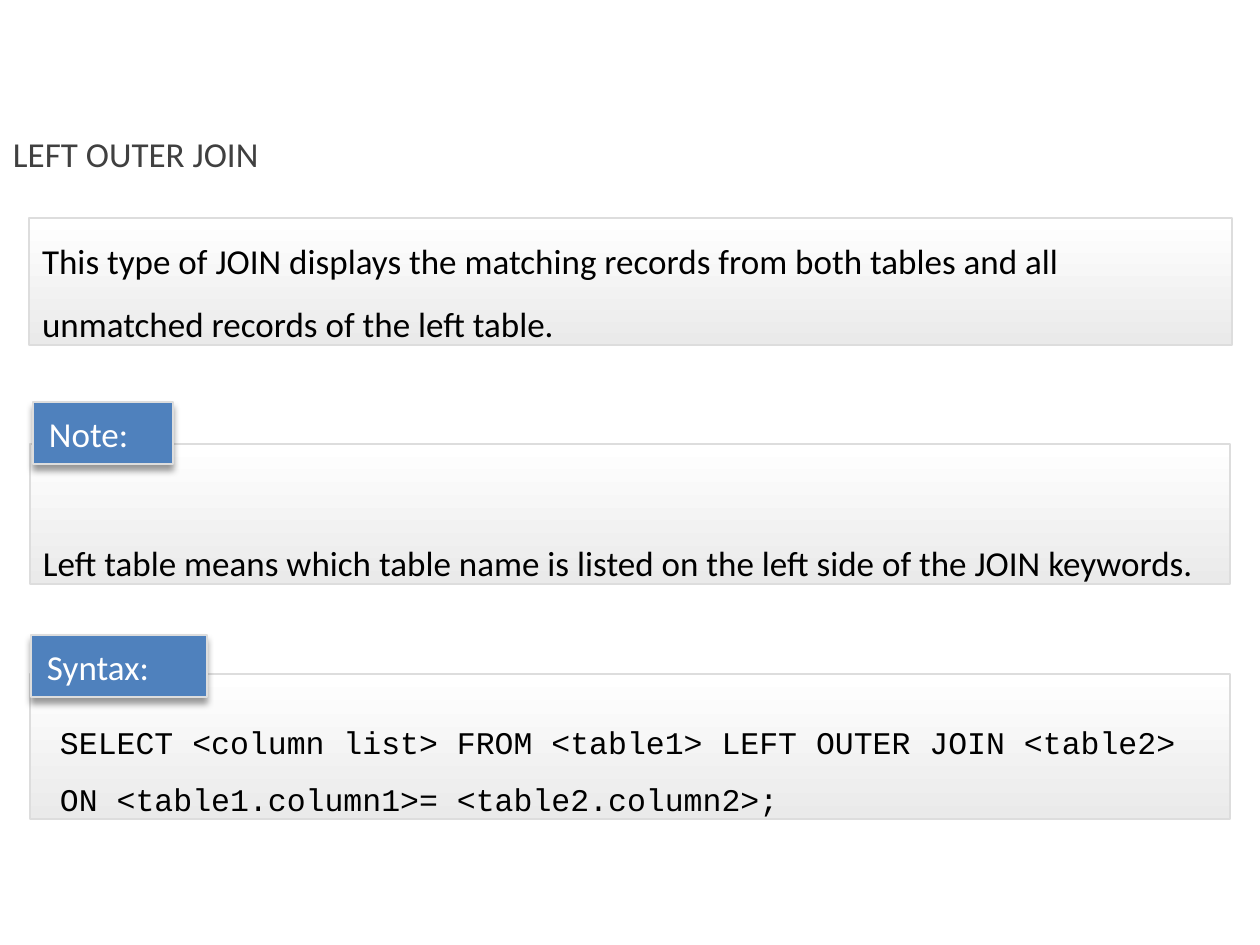
from lxml.etree import SubElement as Sub
from pptx import Presentation
from pptx.dml.color import RGBColor
from pptx.enum.shapes import MSO_SHAPE as Shape
from pptx.enum.text import MSO_ANCHOR as Anchor, MSO_AUTO_SIZE as Fit, PP_ALIGN as Align
from pptx.oxml.ns import qn
from pptx.util import Emu, Inches, Pt

WHITE = RGBColor(0xFF, 0xFF, 0xFF)
BLACK = RGBColor(0, 0, 0)
DARK = RGBColor(0x40, 0x40, 0x40)
PALE = RGBColor(0xEA, 0xEA, 0xEA)
EDGE = RGBColor(0xDD, 0xDD, 0xDD)
BLUE = RGBColor(0x4F, 0x81, 0xBD)


def px(count):
    """Turn pixels, 126 to the inch, into EMU."""
    return Emu(count * 914400 // 126)


def write(shape, text, color, size=20, font="Calibri", pads=(13, 0, 13, 0),
          anchor=Anchor.MIDDLE, align=Align.LEFT, lead=1.5):
    """Fill a shape with one formatted paragraph."""
    frame = shape.text_frame
    frame.word_wrap = True
    frame.vertical_anchor = anchor
    (frame.margin_left, frame.margin_top,
     frame.margin_right, frame.margin_bottom) = map(px, pads)
    frame.text = text
    para = frame.paragraphs[0]
    para.alignment = align
    para.line_spacing = lead
    face = para.runs[0].font
    face.name, face.size, face.color.rgb = font, Pt(size), color


def add_rect(shapes, box):
    """Add a rectangle with a thin grey edge and no shadow."""
    rect = shapes.add_shape(Shape.RECTANGLE, *map(px, box))
    rect.shadow.inherit = False
    rect.line.color.rgb = EDGE
    rect.line.width = Pt(1)
    return rect


def add_panel(shapes, box, text, **style):
    """Add a text panel that shades from white to pale grey."""
    panel = add_rect(shapes, box)
    panel.fill.gradient()
    panel.fill.gradient_angle = 270
    for stop, color, place in zip(panel.fill.gradient_stops, (WHITE, PALE), (0, 1)):
        stop.color.rgb = color
        stop.position = place
    write(panel, text, BLACK, **style)


def add_tag(shapes, box, text):
    """Add a blue label with a soft shadow below it."""
    tag = add_rect(shapes, box)
    tag.fill.solid()
    tag.fill.fore_color.rgb = BLUE
    glow = tag._element.spPr.find(qn("a:effectLst"))
    cast = Sub(glow, qn("a:outerShdw"), blurRad=str(Pt(4)), dist=str(Pt(3)),
               dir="5400000", rotWithShape="0")
    tint = Sub(cast, qn("a:srgbClr"), val="000000")
    Sub(tint, qn("a:alpha"), val="40000")
    write(tag, text, WHITE, pads=(16, 0, 0, 0), lead=1.0)


def add_block(slide, box, drop, inset, width, label, text, **style):
    """Add a grouped panel whose label overlaps its top edge."""
    left, top, wide, high = box
    shapes = slide.shapes.add_group_shape().shapes
    add_panel(shapes, (left, top + drop, wide, high - drop), text, **style)
    add_tag(shapes, (left + inset, top, width, 62), label)


def add_title(slide, box, text):
    """Place the slide title in its placeholder."""
    title = slide.shapes.title
    title.left, title.top, title.width, title.height = map(px, box)
    write(title, text, DARK, pads=(13, 6, 13, 6), anchor=Anchor.TOP)
    title.text_frame.auto_size = Fit.SHAPE_TO_FIT_TEXT


def main():
    """Build and save the slide."""
    deck = Presentation()
    deck.slide_width, deck.slide_height = Inches(10), Inches(7.5)
    slide = deck.slides.add_slide(deck.slide_layouts[5])
    add_title(slide, (0, 105, 893, 77), "LEFT OUTER JOIN")
    add_panel(slide.shapes, (29, 218, 1203, 127),
              "This type of JOIN displays the matching records from both tables "
              "and all unmatched records of the left table.")
    add_block(slide, (30, 635, 1200, 184), 39, 1, 176, "Syntax:",
              "SELECT <column list> FROM <table1> LEFT OUTER JOIN <table2> "
              "ON <table1.column1>= <table2.column2>;",
              size=18, font="Courier New", pads=(30, 30, 30, 0), anchor=Anchor.TOP)
    add_block(slide, (30, 402, 1200, 182), 42, 3, 140, "Note:",
              "Left table means which table name is listed on the left side "
              "of the JOIN keywords.",
              anchor=Anchor.BOTTOM, align=Align.JUSTIFY)
    deck.save("out.pptx")


if __name__ == "__main__":
    main()
